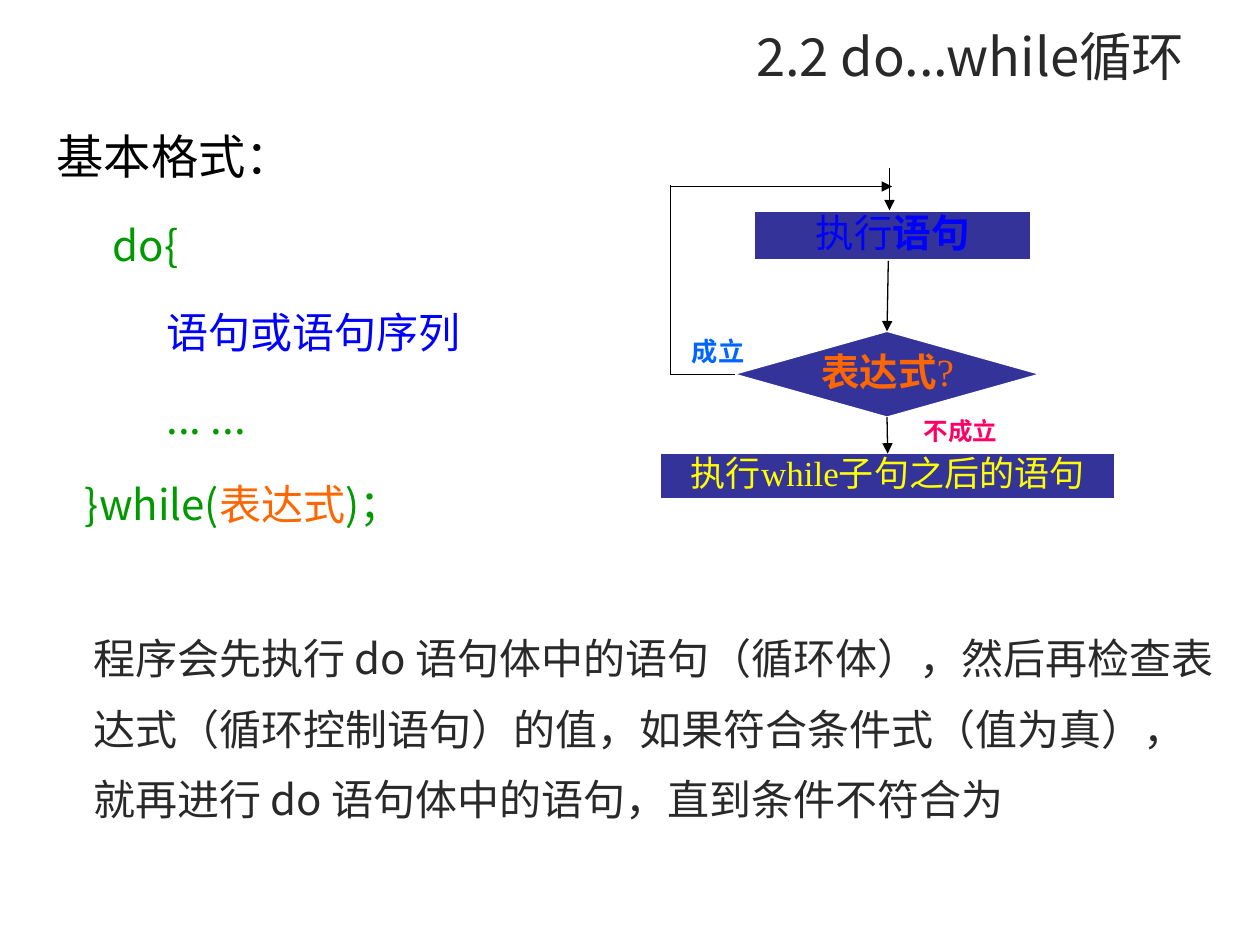
from dataclasses import dataclass
from typing import NamedTuple, Optional

from lxml.etree import SubElement
from pptx import Presentation
from pptx.dml.color import RGBColor
from pptx.enum.shapes import MSO_CONNECTOR as Connector, MSO_SHAPE as Preset
from pptx.enum.text import MSO_ANCHOR as Anchor, MSO_AUTO_SIZE as AutoSize, PP_ALIGN as Align
from pptx.oxml.ns import qn
from pptx.util import Emu, Pt

PX = 9144
SANS, SERIF = "Noto Sans CJK SC", "Times New Roman"
GREEN, BLUE, ORANGE, DARK, NAVY = "009900", "0000FF", "FF6600", "292929", "333399"


class Box(NamedTuple):
    left: int
    top: int
    width: int
    height: int


class Run(NamedTuple):
    text: str
    color: Optional[str] = None
    bold: Optional[bool] = None


@dataclass
class Line:
    runs: list[Run]
    size: int
    color: str
    font: str = SANS
    align: Align = Align.LEFT
    spacing: Optional[float] = None
    before: int = 0
    margin: int = 0
    hanging: int = 0
    tabs: tuple[int, ...] = ()


@dataclass
class Node:
    box: Box
    line: Optional[Line] = None
    preset: Optional[Preset] = None


@dataclass
class Link:
    start: tuple[int, int]
    end: tuple[int, int]
    arrow: bool = True
    source: Optional[tuple[str, int]] = None
    target: Optional[tuple[str, int]] = None


def px(value: int) -> Emu:
    """Turn slide pixels, 100 to the inch, into EMU."""
    return Emu(value * PX)


def rgb(value: str) -> RGBColor:
    """Turn a hex string into a colour."""
    return RGBColor.from_string(value)


def place(shape, box: Box) -> None:
    """Move and size a shape."""
    shape.left, shape.top, shape.width, shape.height = map(px, box)


def write_line(paragraph, line: Line) -> None:
    """Format one paragraph and add its runs."""
    properties = paragraph._p.get_or_add_pPr()
    properties.set("marL", str(px(line.margin)))
    properties.set("indent", str(px(-line.hanging)))
    paragraph.alignment = line.align
    paragraph.space_before = Pt(line.before)
    if line.spacing:
        paragraph.line_spacing = line.spacing
    SubElement(properties, qn("a:buNone"))
    if line.tabs:
        tab_list = SubElement(properties, qn("a:tabLst"))
        for position in line.tabs:
            SubElement(tab_list, qn("a:tab"), pos=str(px(position)), algn="l")
    font = paragraph.font
    font.size, font.name = Pt(line.size), line.font
    font.color.rgb = rgb(line.color)
    SubElement(properties.find(qn("a:defRPr")), qn("a:ea"), typeface=SANS)
    for part in line.runs:
        run = paragraph.add_run()
        run.text = part.text
        if part.color:
            run.font.color.rgb = rgb(part.color)
        if part.bold is not None:
            run.font.bold = part.bold


def write(shape, lines: list[Line], anchor: Anchor = Anchor.TOP, inset: tuple[int, int] = (9, 5)) -> None:
    """Fill a shape with paragraphs."""
    frame = shape.text_frame
    frame.word_wrap, frame.auto_size, frame.vertical_anchor = True, AutoSize.NONE, anchor
    frame.margin_left = frame.margin_right = px(inset[0])
    frame.margin_top = frame.margin_bottom = px(inset[1])
    for index, line in enumerate(lines):
        write_line(frame.add_paragraph() if index else frame.paragraphs[0], line)


def draw_node(slide, node: Node):
    """Draw a flowchart block, or a bare label if it has no preset."""
    if node.preset is None:
        shape = slide.shapes.add_textbox(*map(px, node.box))
    else:
        shape = slide.shapes.add_shape(node.preset, *map(px, node.box))
        shape.shadow.inherit = False
        shape.fill.solid()
        shape.fill.fore_color.rgb = rgb(NAVY)
        shape.line.color.rgb = rgb("FFFFFF")
        shape.line.width = Pt(0.75)
    if node.line:
        write(shape, [node.line])
    return shape


def draw_link(slide, link: Link, shapes: dict) -> None:
    """Draw a flow line, joined to its blocks where it meets them."""
    connector = slide.shapes.add_connector(Connector.STRAIGHT, *map(px, link.start + link.end))
    if link.source:
        connector.begin_connect(shapes[link.source[0]], link.source[1])
    if link.target:
        connector.end_connect(shapes[link.target[0]], link.target[1])
    connector.line.color.rgb = rgb("000000")
    connector.line.width = Pt(0.75)
    if link.arrow:
        SubElement(connector.line._get_or_add_ln(), qn("a:tailEnd"), type="triangle")
    SubElement(connector._element.spPr, qn("a:effectLst"))


def flow_line(runs: list[Run], size: int, color: str, align: Align = Align.CENTER,
              spacing: Optional[float] = 0.8) -> Line:
    """Describe a line of flowchart text."""
    return Line(runs, size, color, SERIF, align, spacing)


def code_line(*runs: Run) -> Line:
    """Describe a line of the loop syntax."""
    return Line(list(runs), 24, GREEN, spacing=1.4, before=9, margin=37, hanging=37,
                tabs=tuple(99 * step for step in range(8)))


SYNTAX = [
    Line([Run("基本格式：")], 27, "000000", margin=37, hanging=37),
    code_line(Run("\t do{")),
    code_line(Run("\t\t语句或语句序列", BLUE)),
    code_line(Run("\t\t... ...")),
    code_line(Run("   }while("), Run("表达式", ORANGE), Run(")；")),
]
EXPLANATION = Line(
    [Run("程序会先执行 do 语句体中的语句（循环体），然后再检查表达式（循环控制语句）的值，"
         "如果符合条件式（值为真），就再进行 do 语句体中的语句，直到条件不符合为")],
    24, DARK, spacing=1.4, margin=38)
NODES = {
    "condition": Node(Box(583, 263, 242, 68), preset=Preset.DIAMOND),
    "condition text": Node(Box(634, 271, 141, 46), flow_line(
        [Run("表达式", bold=True), Run("?")], 22, ORANGE, spacing=None)),
    "body": Node(Box(599, 168, 219, 38), flow_line(
        [Run("执行"), Run("语句", bold=True)], 22, BLUE), Preset.RECTANGLE),
    "true": Node(Box(540, 266, 79, 29), flow_line([Run("成立", bold=True)], 15, "0066FF", Align.LEFT)),
    "false": Node(Box(724, 330, 79, 28), flow_line([Run("不成立", bold=True)], 14, "FF0066", Align.LEFT)),
    "after": Node(Box(524, 360, 361, 36), flow_line(
        [Run("执行while子句之后的语句")], 20, "FFFF00"), Preset.RECTANGLE),
}
LINKS = [
    Link((706, 133), (706, 167)),
    Link((704, 331), (704, 360), source=("condition", 2), target=("after", 0)),
    Link((705, 207), (704, 263), target=("condition", 0)),
    Link((583, 297), (532, 297), arrow=False, source=("condition", 1)),
    Link((532, 297), (532, 147), arrow=False),
    Link((532, 148), (708, 148)),
]


def main() -> None:
    """Build the slide and save it."""
    presentation = Presentation()
    presentation.slide_width, presentation.slide_height = px(1000), px(750)
    slide = presentation.slides.add_slide(presentation.slide_layouts[1])
    title, body = slide.placeholders
    place(title, Box(50, 8, 900, 72))
    write(title, [Line([Run("2.2 do...while循环")], 30, DARK, align=Align.RIGHT)], Anchor.MIDDLE, (10, 5))
    place(body, Box(35, 96, 930, 550))
    write(body, SYNTAX, inset=(10, 5))
    shapes = {name: draw_node(slide, node) for name, node in NODES.items()}
    for link in LINKS:
        draw_link(slide, link, shapes)
    explanation = slide.shapes.add_textbox(*map(px, Box(36, 486, 929, 188)))
    write(explanation, [EXPLANATION], inset=(0, 0))
    presentation.save("out.pptx")


if __name__ == "__main__":
    main()
